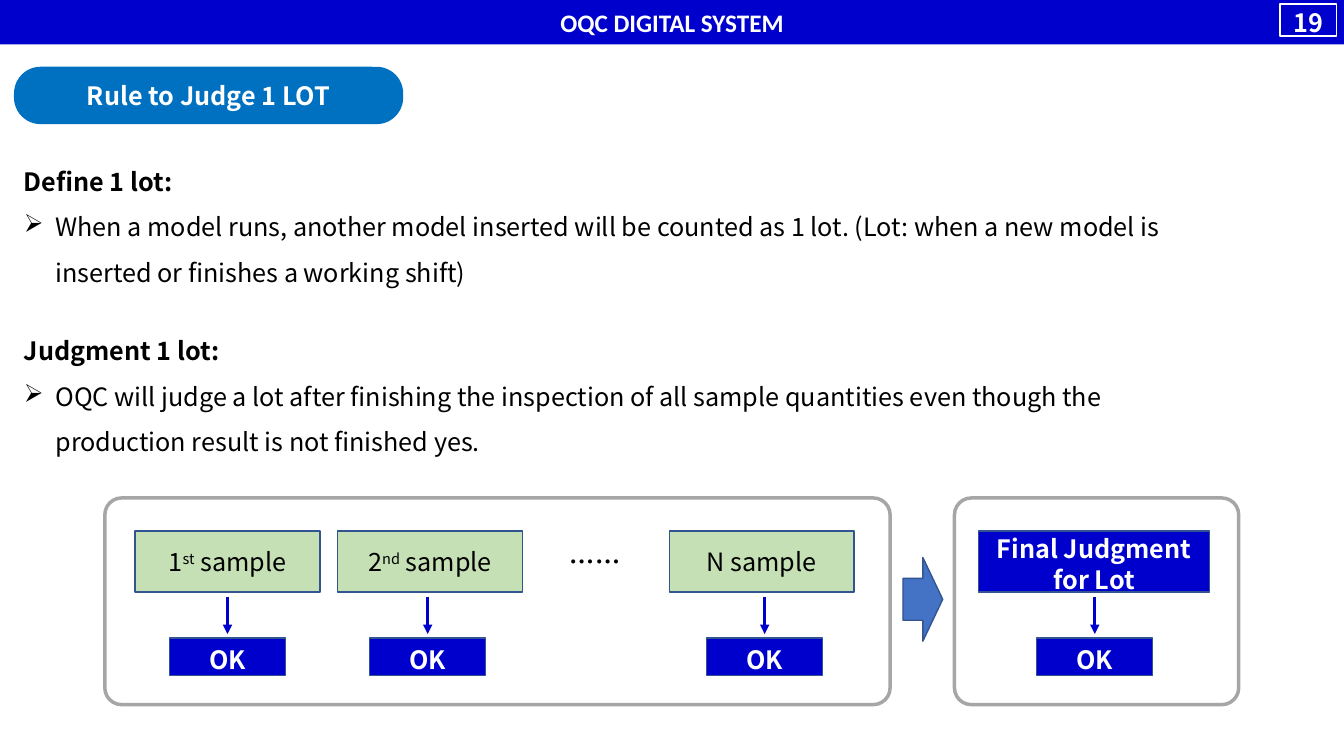
from lxml import etree
from pptx import Presentation
from pptx.dml.color import RGBColor
from pptx.enum import shapes, text
from pptx.oxml import ns
from pptx.util import Pt

BLUE = RGBColor(0x00, 0x00, 0xCC)
PILL_BLUE = RGBColor(0x00, 0x70, 0xC0)
ARROW_BLUE = RGBColor(0x44, 0x72, 0xC4)
EDGE = RGBColor(0x32, 0x54, 0x91)
GREEN = RGBColor(0xC5, 0xE0, 0xB4)
GRAY = RGBColor(0xA6, 0xA6, 0xA6)
WHITE = RGBColor(0xFF, 0xFF, 0xFF)
BLACK = RGBColor(0x00, 0x00, 0x00)
FONT = "Noto Sans CJK JP"

TITLE = "OQC DIGITAL SYSTEM"
PAGE = "19"
HEADING = "Rule to Judge 1 LOT"
SECTIONS = [
    ("Define 1 lot:",
     "When a model runs, another model inserted will be counted as 1 lot. "
     "(Lot: when a new model is inserted or finishes a working shift)",
     104.4, 892),
    ("Judgment 1 lot:",
     "OQC will judge a lot after finishing the inspection of all sample quantities "
     "even though the production result is not finished yes.",
     225.4, 865.4),
]
STEPS = [
    (["1", ("st", 30), " sample"], 96.5, 132, 162.5, GREEN),
    (["2", ("nd", 30), " sample"], 241.2, 132, 305.5, GREEN),
    (["N sample"], 478, 132, 546.2, GREEN),
    (["Final Judgment for Lot"], 699, 165, 782, BLUE),
]
PANELS = [(74.9, 560.9), (681.8, 203)]
STEP_TOP, STEP_HEIGHT = 379.4, 43.4
ARROW_TOP, ARROW_BOTTOM = 426.2, 452.9
OK_TOP, OK_WIDTH, OK_HEIGHT = 455.8, 83, 26.6

presentation = Presentation()
presentation.slide_width, presentation.slide_height = Pt(960), Pt(540)
slide = presentation.slides.add_slide(presentation.slide_layouts[5])


def add_child(parent, tag, **attributes):
    return etree.SubElement(parent, ns.qn(tag), attributes)


def write(paragraph, runs, color=BLACK, bold=False, font=FONT,
          align=text.PP_ALIGN.CENTER, spacing=None, shadow=False):
    paragraph.alignment = align
    if spacing:
        paragraph.line_spacing = spacing
    for item in runs:
        words, raised = item if isinstance(item, tuple) else (item, 0)
        run = paragraph.add_run()
        run.text = words
        run.font.size = Pt(18)
        run.font.bold = bold
        run.font.color.rgb = color
        properties = run.font._element
        if raised:
            properties.set("baseline", str(raised * 1000))
        if shadow:
            effects = add_child(properties, "a:effectLst")
            outer = add_child(effects, "a:outerShdw", blurRad="38100", dist="38100",
                              dir="2700000", algn="tl")
            shade = add_child(outer, "a:srgbClr", val="000000")
            add_child(shade, "a:alpha", val="43000")
        run.font.name = font
        add_child(properties, "a:ea", typeface=font)


def center_frame(frame, top=3.6, bottom=3.6):
    frame.word_wrap = True
    frame.auto_size = text.MSO_AUTO_SIZE.NONE
    frame.vertical_anchor = text.MSO_ANCHOR.MIDDLE
    frame.margin_left = frame.margin_right = Pt(7.2)
    frame.margin_top, frame.margin_bottom = Pt(top), Pt(bottom)
    return frame.paragraphs[0]


def add_box(kind, left, top, width, height, fill=None, line=None, weight=1, adjust=None):
    shape = slide.shapes.add_shape(kind, Pt(left), Pt(top), Pt(width), Pt(height))
    shape.shadow.inherit = False
    if fill is None:
        shape.fill.background()
    else:
        shape.fill.solid()
        shape.fill.fore_color.rgb = fill
    if line is None:
        shape.line.fill.background()
    else:
        shape.line.color.rgb = line
        shape.line.width = Pt(weight)
    if adjust is not None:
        shape.adjustments[0] = adjust
    return shape


def add_label(left, top, width, height, runs, fill=BLUE, line=EDGE):
    shape = add_box(shapes.MSO_SHAPE.RECTANGLE, left, top, width, height, fill, line)
    plain = fill == GREEN
    paragraph = center_frame(shape.text_frame, bottom=3.6 if plain else 0)
    write(paragraph, runs, color=BLACK if plain else WHITE, bold=not plain)


def add_text(left, top, width, height):
    return slide.shapes.add_textbox(Pt(left), Pt(top), Pt(width), Pt(height)).text_frame


def add_arrow(x):
    arrow = slide.shapes.add_connector(shapes.MSO_CONNECTOR.STRAIGHT,
                                       Pt(x), Pt(ARROW_TOP), Pt(x), Pt(ARROW_BOTTOM))
    arrow.line.color.rgb = BLUE
    arrow.line.width = Pt(2.25)
    add_child(arrow.line._get_or_add_ln(), "a:tailEnd", type="triangle")
    add_child(arrow._element.spPr, "a:effectLst")


title = slide.shapes.title
title.left, title.top, title.width, title.height = Pt(0), Pt(0), Pt(960), Pt(31.7)
title.fill.solid()
title.fill.fore_color.rgb = BLUE
write(center_frame(title.text_frame), [TITLE], color=WHITE, bold=True, font="Calibri")

add_box(shapes.MSO_SHAPE.ROUNDED_RECTANGLE, 10, 47.7, 278, 41, PILL_BLUE, adjust=0.464)
heading = add_text(25.9, 53.3, 246.2, 29.5)
write(center_frame(heading), [HEADING], color=WHITE, bold=True, shadow=True)

for name, rule, top, width in SECTIONS:
    frame = add_text(10, top, width, 105)
    frame.word_wrap = True
    frame.auto_size = text.MSO_AUTO_SIZE.SHAPE_TO_FIT_TEXT
    write(frame.paragraphs[0], [name], bold=True, align=text.PP_ALIGN.LEFT, spacing=1.5)
    bullet = frame.add_paragraph()
    write(bullet, [rule], align=text.PP_ALIGN.LEFT, spacing=1.5)
    properties = bullet._p.get_or_add_pPr()
    properties.set("marL", str(Pt(22.5)))
    properties.set("indent", str(Pt(-22.5)))
    add_child(properties, "a:buChar", char="➢")

for left, width in PANELS:
    add_box(shapes.MSO_SHAPE.ROUNDED_RECTANGLE, left, 355.7, width, 147.6,
            line=GRAY, weight=2.5, adjust=0.081)

for runs, left, width, center, fill in STEPS:
    add_label(left, STEP_TOP, width, STEP_HEIGHT, runs, fill)
    add_arrow(center)
    add_label(center - OK_WIDTH / 2, OK_TOP, OK_WIDTH, OK_HEIGHT, ["OK"])

dots = add_text(386.6, STEP_TOP, 77, STEP_HEIGHT)
write(center_frame(dots), ["……"], bold=True)
add_box(shapes.MSO_SHAPE.RIGHT_ARROW, 645, 398.2, 28.4, 59.8, ARROW_BLUE, EDGE)
add_label(914.4, 2.9, 40.3, 23, [PAGE], fill=None, line=WHITE)

presentation.save("out.pptx")
